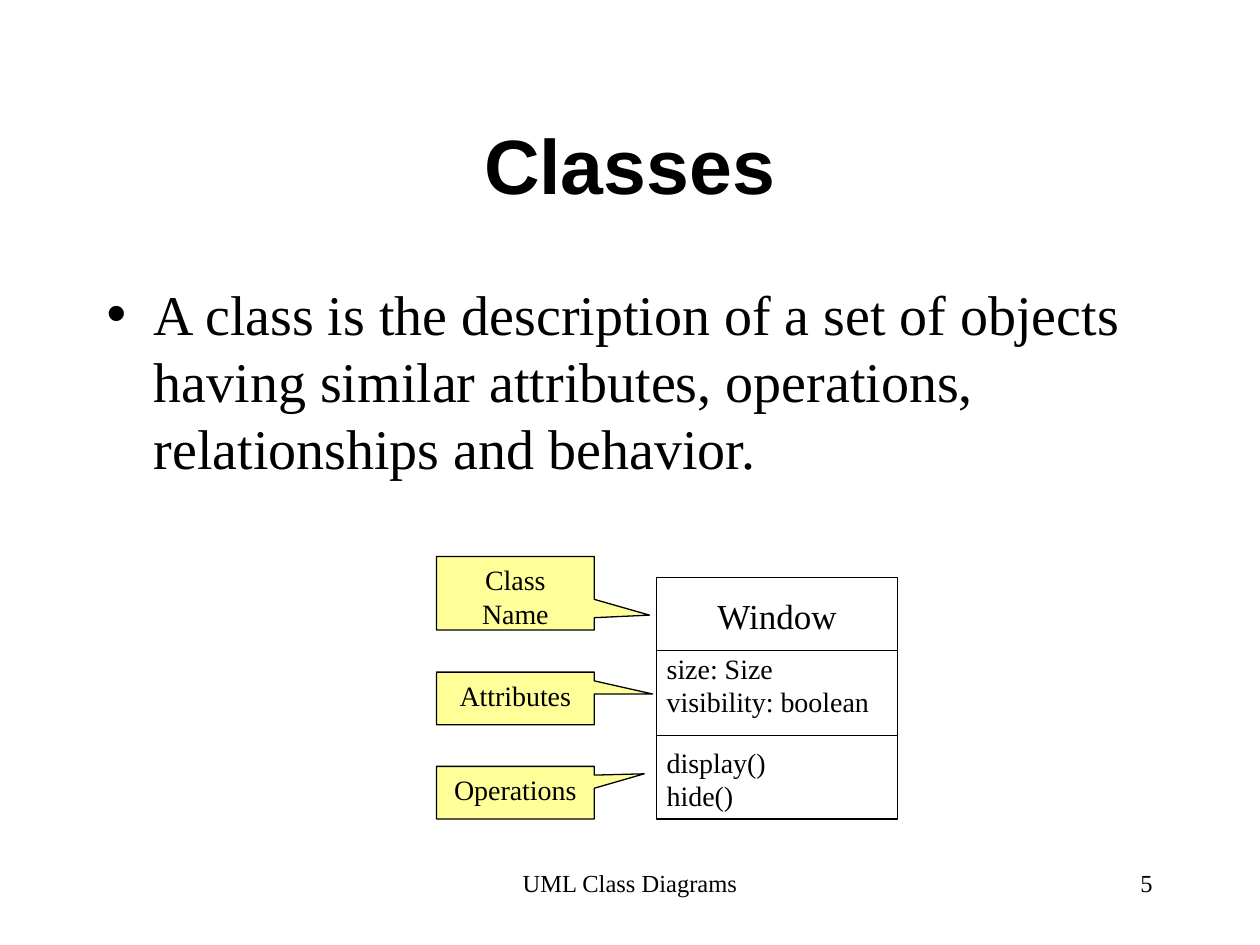
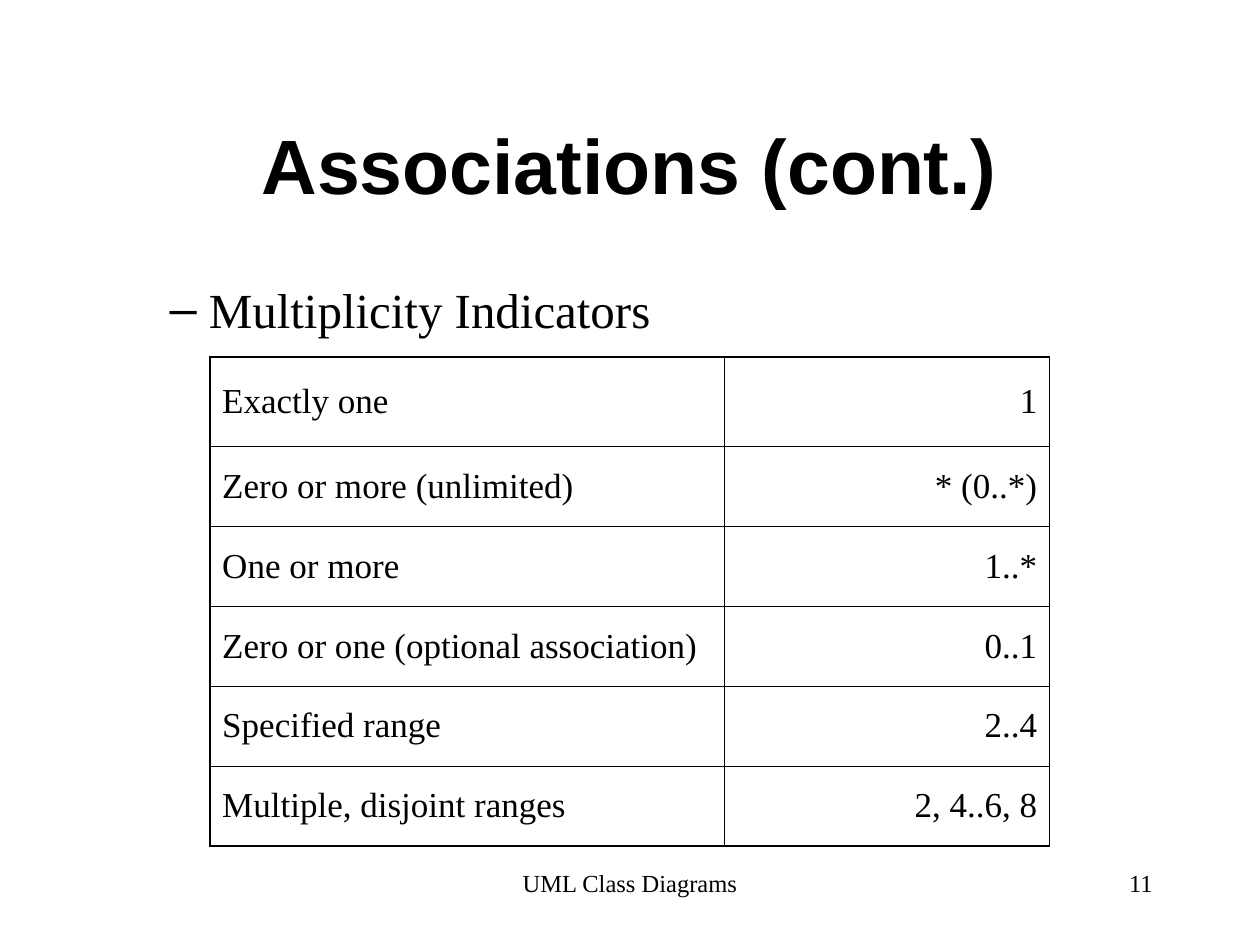
from lxml import etree
from pptx import Presentation
from pptx.dml.color import RGBColor
from pptx.enum.shapes import MSO_CONNECTOR, MSO_SHAPE
from pptx.enum.text import MSO_ANCHOR, MSO_AUTO_SIZE, PP_ALIGN
from pptx.oxml.ns import qn
from pptx.util import Cm, Pt

LEFT, CENTER, RIGHT = PP_ALIGN.LEFT, PP_ALIGN.CENTER, PP_ALIGN.RIGHT
TOP, MIDDLE = MSO_ANCHOR.TOP, MSO_ANCHOR.MIDDLE
NO_AUTOFIT = MSO_AUTO_SIZE.NONE
STRAIGHT = MSO_CONNECTOR.STRAIGHT
RECTANGLE, CALLOUT = MSO_SHAPE.RECTANGLE, MSO_SHAPE.RECTANGULAR_CALLOUT

BLACK, NOTE_YELLOW = "000000", "FFFF99"
HEADING_FONT, TEXT_FONT = "Arial", "Times New Roman"
MARGIN, CONTENT_WIDTH = 1.9, 21.59
FOOTER_TOP, FOOTER_HEIGHT = 17.36, 1.27
HAIRLINE, OUTLINE = 0.45, 1.08

CLASS_LEFT, CLASS_TOP, CLASS_SIDE = 13.23, 11.64, 4.87
CLASS_PADDING = 0.21
DIVIDERS = [13.12, 14.82]
MEMBERS = [
    (13.13, ["size: Size", "visibility: boolean"]),
    (15.03, ["display()", "hide()"]),
]
NOTES = [
    ("Class Name", 11.22, 1.48, (0.85, 0.298)),
    ("Attributes", 13.55, 1.06, (0.871, -0.083)),
    ("Operations", 15.45, 1.06, (0.817, -0.358)),
]
MULTIPLICITIES = [
    ("Exactly one", "1"),
    ("Zero or more (unlimited)", "* (0..*)"),
    ("One or more", "1..*"),
    ("Zero or one (optional association)", "0..1"),
    ("Specified range", "2..4"),
    ("Multiple, disjoint ranges", "2, 4..6, 8"),
]


def color(value):
    return RGBColor.from_string(value)


def set_all(target, values):
    for attribute, value in values.items():
        setattr(target, attribute, value)


def place(shape, left, top, width, height):
    set_all(shape, {"left": Cm(left), "top": Cm(top),
                    "width": Cm(width), "height": Cm(height)})


def write(frame, lines, size, align=LEFT, anchor=TOP, before=0,
          font=TEXT_FONT, bold=False, inset=True):
    side, edge = (Cm(0.25), Cm(0.13)) if inset else (0, 0)
    set_all(frame, {"word_wrap": True, "auto_size": NO_AUTOFIT,
                    "vertical_anchor": anchor,
                    "margin_left": side, "margin_right": side,
                    "margin_top": edge, "margin_bottom": edge})
    return write_lines(frame.paragraphs[0], lines, size, align, before, font, bold)


def write_lines(paragraph, lines, size, align=LEFT, before=0,
                font=TEXT_FONT, bold=False):
    set_all(paragraph, {"alignment": align, "space_before": Pt(before)})
    for index, line in enumerate(lines):
        if index:
            paragraph.add_line_break()
        run = paragraph.add_run()
        run.text = line
        set_all(run.font, {"name": font, "size": Pt(size), "bold": bold})
        run.font.color.rgb = color(BLACK)
    return paragraph


def add_text(shapes, box, lines, size, **text_format):
    text_box = shapes.add_textbox(*map(Cm, box))
    write(text_box.text_frame, lines, size, **text_format)


def outline(line, width=0.75):
    line.color.rgb = color(BLACK)
    line.width = Pt(width)


def add_divider(shapes, left, right, height):
    divider = shapes.add_connector(STRAIGHT, Cm(left), Cm(height), Cm(right), Cm(height))
    outline(divider.line)
    etree.SubElement(divider._element.spPr, qn("a:effectLst"))


def add_note(shapes, label, top, height, pointer):
    note = shapes.add_shape(CALLOUT, Cm(8.8), Cm(top), Cm(3.18), Cm(height))
    note.shadow.inherit = False
    note.fill.solid()
    note.fill.fore_color.rgb = color(NOTE_YELLOW)
    outline(note.line)
    for index, offset in enumerate(pointer):
        note.adjustments[index] = offset
    write(note.text_frame, [label], 16, align=CENTER)


def add_class_box(shapes):
    parts = shapes.add_group_shape().shapes
    frame = parts.add_shape(RECTANGLE, Cm(CLASS_LEFT), Cm(CLASS_TOP),
                            Cm(CLASS_SIDE), Cm(CLASS_SIDE))
    frame.shadow.inherit = False
    frame.fill.background()
    outline(frame.line)
    for height in DIVIDERS:
        add_divider(parts, CLASS_LEFT, CLASS_LEFT + CLASS_SIDE, height)
    text_left = CLASS_LEFT + CLASS_PADDING
    text_width = CLASS_SIDE - 2 * CLASS_PADDING
    add_text(parts, (text_left, 11.85, text_width, 1.12), ["Window"], 20,
             align=CENTER, before=12.5)
    for top, members in MEMBERS:
        add_text(parts, (text_left, top, text_width, 1.35), members, 16,
                 anchor=MIDDLE, before=10, inset=False)


def set_bullet(paragraph, symbol, margin, hanging):
    properties = paragraph._p.get_or_add_pPr()
    properties.set("marL", str(Cm(margin)))
    properties.set("indent", str(-Cm(hanging)))
    bullet_color = etree.SubElement(properties, qn("a:buClr"))
    etree.SubElement(bullet_color, qn("a:srgbClr"), val=BLACK)
    etree.SubElement(properties, qn("a:buChar"), char=symbol)


def add_cell_borders(cell, widths):
    properties = cell._tc.get_or_add_tcPr()
    for side, width in zip("LRTB", widths):
        border = etree.SubElement(properties, qn(f"a:ln{side}"), w=str(Pt(width)))
        fill = etree.SubElement(border, qn("a:solidFill"))
        etree.SubElement(fill, qn("a:srgbClr"), val=BLACK)


def add_multiplicity_table(shapes):
    row_heights = [1.8] + [1.61] * (len(MULTIPLICITIES) - 1)
    column_widths = [10.37, 6.56]
    table = shapes.add_table(len(row_heights), len(column_widths), Cm(4.23), Cm(7.2),
                             Cm(sum(column_widths)), Cm(sum(row_heights))).table
    set_all(table, {"first_row": False, "horz_banding": False})
    for column, width in zip(table.columns, column_widths):
        column.width = Cm(width)
    last = len(row_heights) - 1
    for index, (row, height) in enumerate(zip(table.rows, row_heights)):
        row.height = Cm(height)
        for side, (cell, text) in enumerate(zip(row.cells, MULTIPLICITIES[index])):
            on_edge = (side == 0, side == 1, index == 0, index == last)
            add_cell_borders(cell, [OUTLINE if edge else HAIRLINE for edge in on_edge])
            cell.fill.background()
            set_all(cell, {"vertical_anchor": MIDDLE,
                           "margin_left": Cm(0.25), "margin_right": Cm(0.25),
                           "margin_top": Cm(0.13), "margin_bottom": Cm(0.13)})
            write_lines(cell.text_frame.paragraphs[0], [text], 20,
                        align=RIGHT if side else LEFT, before=5)


def add_slide(deck, heading, number, body_height):
    slide = deck.slides.add_slide(deck.slide_layouts[1])
    title, body = slide.placeholders
    place(title, MARGIN, 1.7, CONTENT_WIDTH, 3.18)
    write(title.text_frame, [heading], 44, align=CENTER, anchor=MIDDLE,
          font=HEADING_FONT, bold=True)
    place(body, MARGIN, 5.5, CONTENT_WIDTH, body_height)
    add_text(slide.shapes, (8.68, FOOTER_TOP, 8.04, FOOTER_HEIGHT),
             ["UML Class Diagrams"], 14, align=CENTER)
    add_text(slide.shapes, (18.2, FOOTER_TOP, 5.29, FOOTER_HEIGHT),
             [number], 14, align=RIGHT)
    return slide.shapes, body.text_frame


def add_classes_slide(deck):
    shapes, body = add_slide(deck, "Classes", "5", 4.66)
    definition = write(body, ["A class is the description of a set of objects having "
                              "similar attributes, operations, relationships and "
                              "behavior."], 32, before=8)
    set_bullet(definition, "•", 0.95, 0.95)
    add_class_box(shapes)
    for note in NOTES:
        add_note(shapes, *note)


def add_associations_slide(deck):
    shapes, body = add_slide(deck, "Associations (cont.)", "11", 11.43)
    topic = write(body, ["Multiplicity Indicators"], 28, before=7)
    topic.level = 1
    set_bullet(topic, "–", 2.06, 0.79)
    add_multiplicity_table(shapes)


def main():
    deck = Presentation()
    set_all(deck, {"slide_width": Cm(25.4), "slide_height": Cm(19.05)})
    add_classes_slide(deck)
    add_associations_slide(deck)
    deck.save("out.pptx")


if __name__ == "__main__":
    main()
